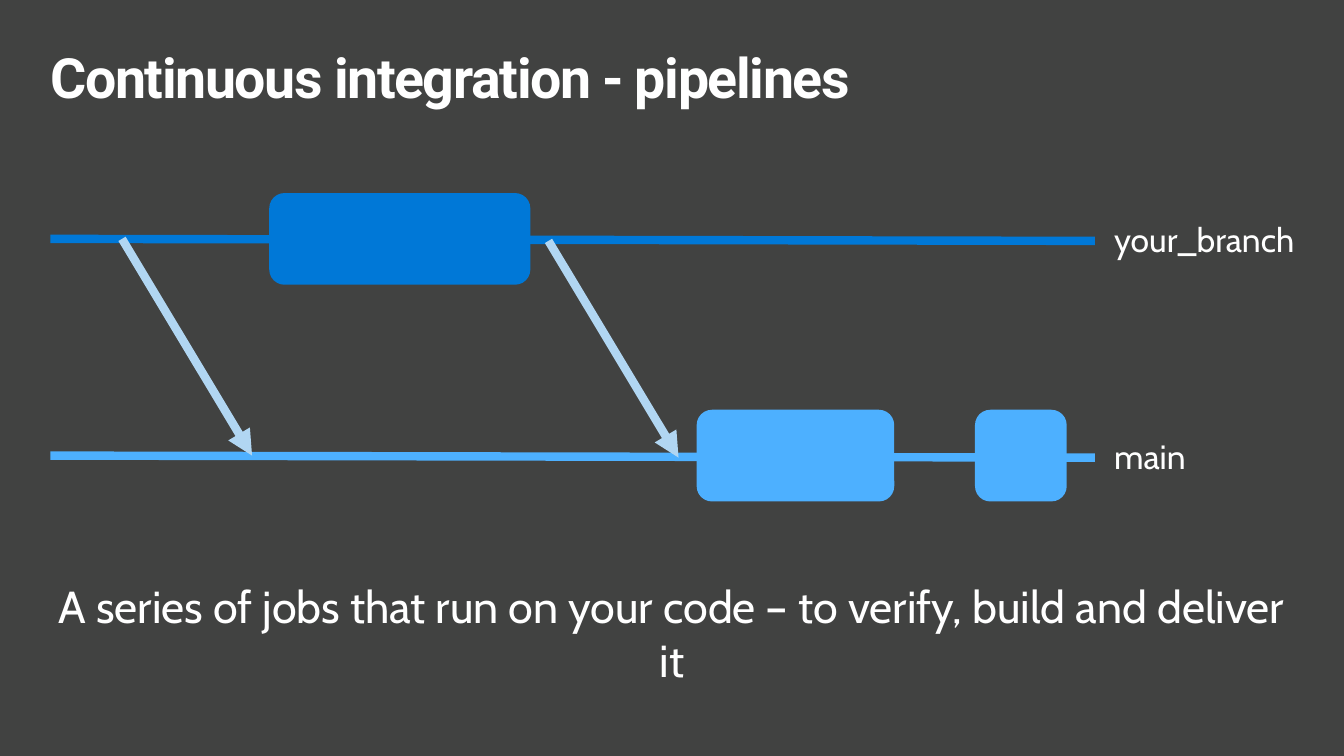
import pptx
import pptx.util
from pptx.dml.color import RGBColor
from pptx.enum.shapes import MSO_CONNECTOR, MSO_SHAPE
from pptx.enum.text import PP_ALIGN
from pptx.oxml.xmlchemy import OxmlElement

BACKGROUND = RGBColor(0x41, 0x42, 0x41)
BRANCH_BLUE = RGBColor(0x00, 0x78, 0xD7)
MAIN_BLUE = RGBColor(0x4D, 0xB0, 0xFF)
ARROW_BLUE = RGBColor(0xB1, 0xD6, 0xF2)
WHITE = RGBColor(0xFF, 0xFF, 0xFF)

IN = pptx.util.Inches
WIDTH, HEIGHT = 13.33, 7.5
MARGIN = 0.5
CONTENT_W = WIDTH - 2 * MARGIN
TRACK_END = 10.86
LABEL_X = 11.05
JOB_H = 0.91
BRANCH_Y, MAIN_Y = 2.37, 4.52
TRACK_DROP = 0.02
ARROW_RUN = 1.29

prs = pptx.Presentation()
prs.slide_width, prs.slide_height = IN(WIDTH), IN(HEIGHT)
s = prs.slides.add_slide(prs.slide_layouts[6])
s.background.fill.solid()
s.background.fill.fore_color.rgb = BACKGROUND


def add_line(x1, y1, x2, y2, color, arrow=False):
    line = s.shapes.add_connector(MSO_CONNECTOR.STRAIGHT, IN(x1), IN(y1), IN(x2), IN(y2))
    line.line.color.rgb = color
    line.line.width = pptx.util.Pt(6)
    if arrow:
        tail = OxmlElement("a:tailEnd")
        tail.set("type", "triangle")
        line.line._get_or_add_ln().append(tail)
    line._element.spPr.append(OxmlElement("a:effectLst"))


def add_text(x, y, w, h, text, align=PP_ALIGN.LEFT, **font):
    tf = s.shapes.add_textbox(IN(x), IN(y), IN(w), IN(h)).text_frame
    tf.word_wrap = True
    for side in ("left", "top", "right", "bottom"):
        setattr(tf, f"margin_{side}", 0)
    p = tf.paragraphs[0]
    p.alignment = align
    r = p.add_run()
    r.text = text
    r.font.color.rgb = WHITE
    for name, value in font.items():
        setattr(r.font, name, value)
    return p


title = add_text(MARGIN, 0.5, CONTENT_W, 0.65, "Continuous integration - pipelines",
                 name="Roboto", size=pptx.util.Pt(39.6), bold=True)
title.line_spacing = 0.9
title.runs[0].font._element.set("spc", "-100")

# Each track: label, label width, height on the slide, colour
tracks = [
    ("your_branch", 1.9, BRANCH_Y, BRANCH_BLUE),
    ("main", 1.46, MAIN_Y, MAIN_BLUE),
]
for label, label_w, y, color in tracks:
    add_line(MARGIN, y, TRACK_END, y + TRACK_DROP, color)
    add_text(LABEL_X, y - 0.2, label_w, 0.4, label, name="Cabin", size=pptx.util.Pt(24))

for x, drop in [(1.21, 0), (5.44, TRACK_DROP)]:
    add_line(x, BRANCH_Y + drop, x + ARROW_RUN, MAIN_Y + drop, ARROW_BLUE, arrow=True)

# Each job: left, width, track height, colour
jobs = [
    (2.67, 2.59, BRANCH_Y, BRANCH_BLUE),
    (6.91, 1.96, MAIN_Y, MAIN_BLUE),
    (9.67, JOB_H, MAIN_Y, MAIN_BLUE),
]
for x, w, y, color in jobs:
    sp = s.shapes.add_shape(MSO_SHAPE.ROUNDED_RECTANGLE,
                            IN(x), IN(y - JOB_H / 2), IN(w), IN(JOB_H))
    sp.shadow.inherit = False
    sp.fill.solid()
    sp.fill.fore_color.rgb = color
    sp.line.fill.background()

add_text(MARGIN, 5.74, CONTENT_W, 1.08,
         "A series of jobs that run on your code – to verify, build and deliver it",
         align=PP_ALIGN.CENTER, name="Cabin", size=pptx.util.Pt(32))

prs.save("out.pptx")
